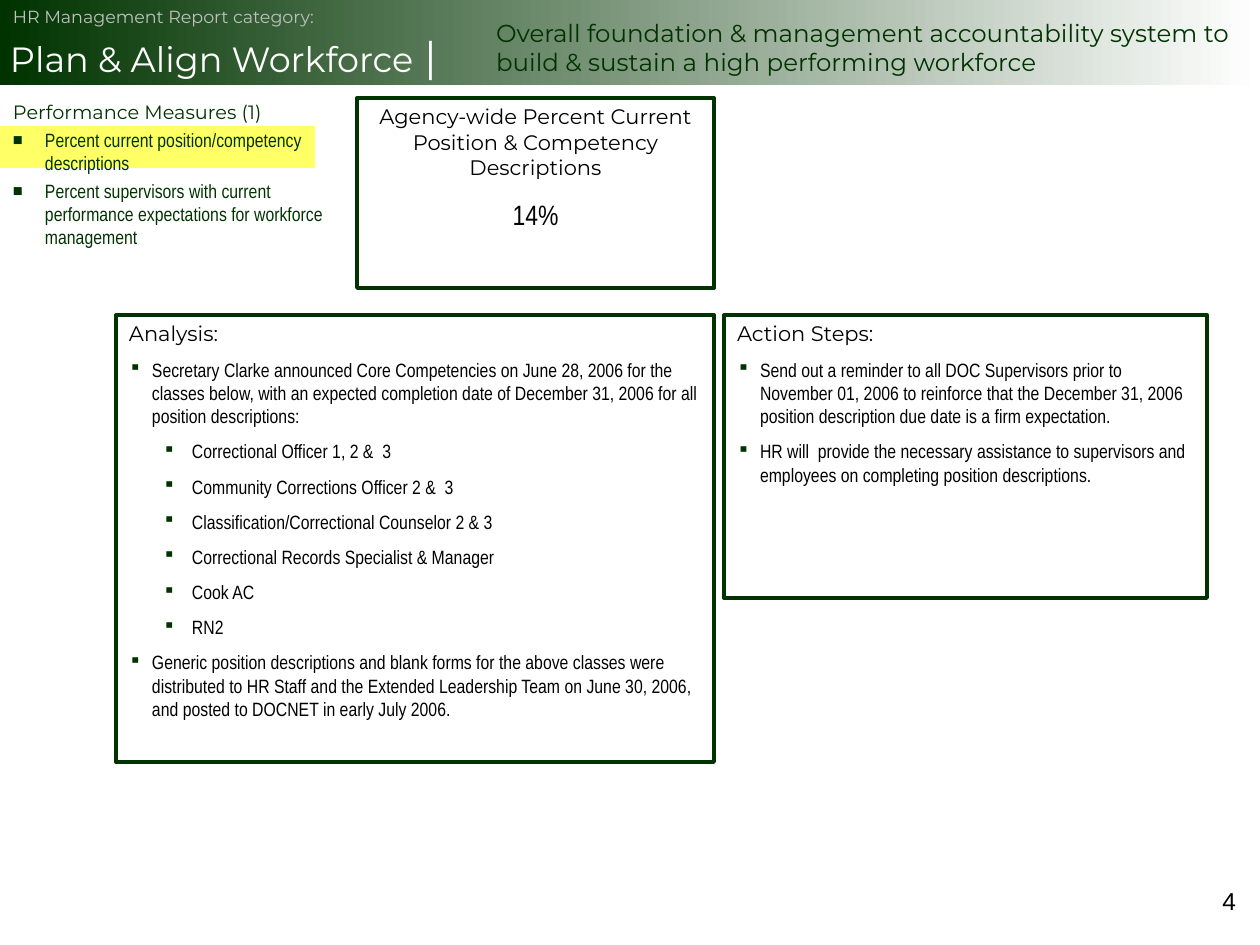
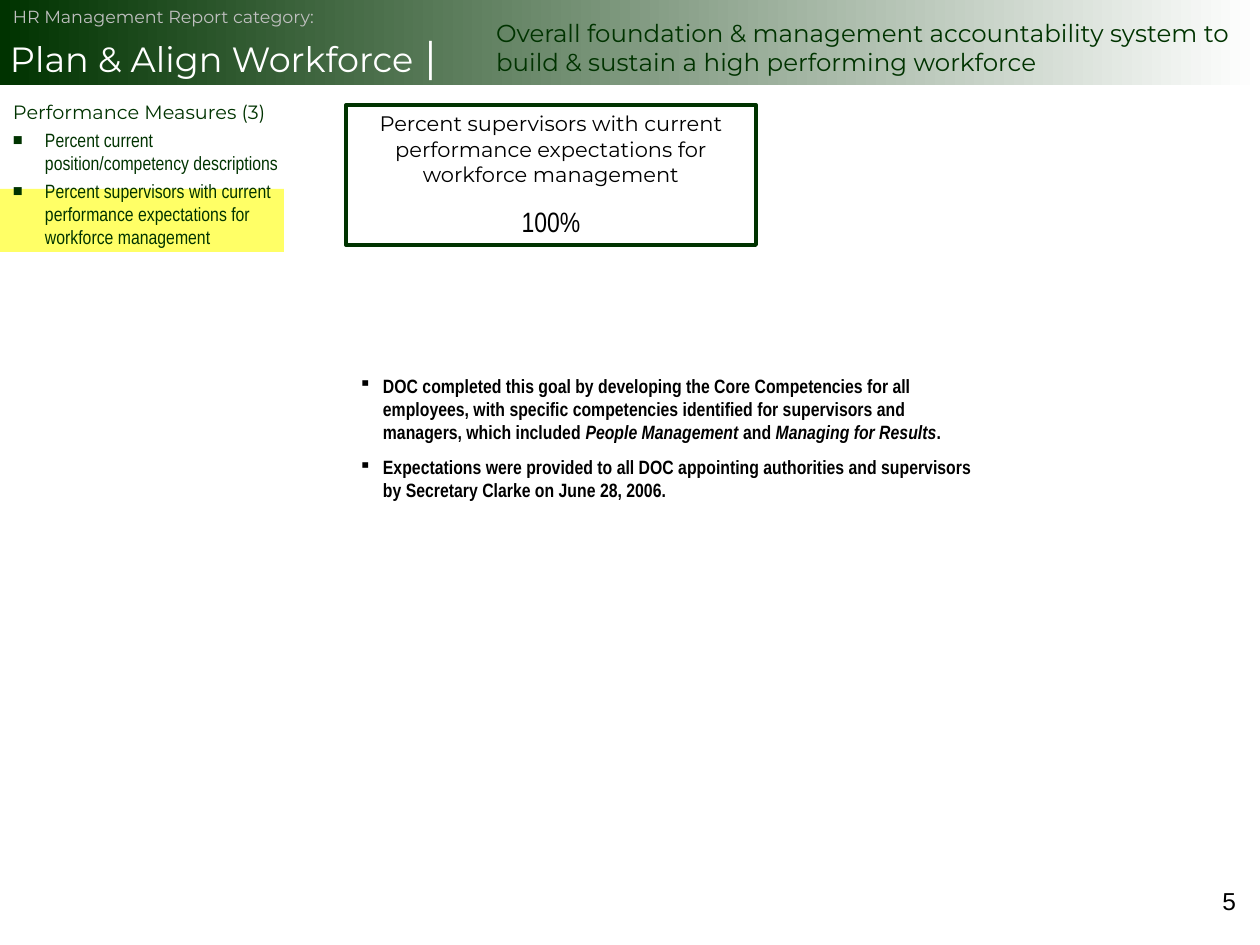
"""Build two workforce planning report slides."""
import lxml.etree
import pptx
import pptx.dml.color
import pptx.enum.shapes
import pptx.enum.text
import pptx.oxml.ns
import pptx.util

EMU_PER_PX = 914400 / 126
GREEN, YELLOW, BLACK, WHITE, SILVER = "003300", "FFFF66", "000000", "FFFFFF", "C0C0C0"
ALIGN = pptx.enum.text.PP_ALIGN
ANCHOR = pptx.enum.text.MSO_ANCHOR
HEADING, BODY = "Montserrat", "Arial Narrow"


def px(length):
    return pptx.util.Emu(round(length * EMU_PER_PX))


def rgb(color):
    return pptx.dml.color.RGBColor.from_string(color)


def assign(target, values):
    for name, value in values.items():
        setattr(target, name, value)


def text_style(font, size, color, before=0, align=ALIGN.LEFT, spacing=1.0,
               bold=False, hang=(0, 0), bullet=None):
    return {
        "font": {"name": font, "size": pptx.util.Pt(size), "bold": bold},
        "color": color,
        "paragraph": {"alignment": align, "line_spacing": spacing,
                      "space_before": pptx.util.Pt(before)},
        "hang": hang,
        "bullet": bullet,
    }


STYLES = {
    "category": text_style(HEADING, 20, WHITE, spacing=1.5),
    "kicker": text_style(HEADING, 10, SILVER),
    "title": text_style(HEADING, 14, GREEN),
    "measure heading": text_style(HEADING, 11, GREEN, hang=(32, -32)),
    "measure": text_style(BODY, 11, GREEN, 2.8, hang=(32, -32), bullet=("■", GREEN, 85)),
    "result heading": text_style(HEADING, 12, BLACK, align=ALIGN.CENTER),
    "result": text_style(BODY, 16, BLACK, 10, ALIGN.CENTER),
    "panel heading": text_style(HEADING, 12, BLACK, hang=(23, -23)),
    "point": text_style(BODY, 11, BLACK, 6.9, hang=(23, -23), bullet=("▪", GREEN, 90)),
    "subpoint": text_style(BODY, 11, BLACK, 6.9, hang=(63, -29), bullet=("▪", GREEN, 90)),
    "note": text_style(BODY, 11, BLACK, 6.9, bold=True, hang=(24, -24),
                       bullet=("▪", BLACK, 90)),
    "page": text_style("Arial", 14, BLACK, align=ALIGN.RIGHT),
}


class ReportDeck:
    """Hold the report style and the slide being built."""

    def __init__(self):
        self.presentation = pptx.Presentation()
        assign(self.presentation, {"slide_width": px(1260), "slide_height": px(945)})
        self.slide = None

    def bullet(self, properties, bullet):
        def add(parent, tag, **attributes):
            return lxml.etree.SubElement(parent, pptx.oxml.ns.qn(tag), attributes)

        if bullet is None:
            add(properties, "a:buNone")
            return
        character, color, percent = bullet
        add(add(properties, "a:buClr"), "a:srgbClr", val=color)
        add(properties, "a:buSzPct", val=str(percent * 1000))
        add(properties, "a:buChar", char=character)

    def fill_text(self, shape, paragraphs, anchor=ANCHOR.TOP, inset=(13, 6)):
        frame = shape.text_frame
        side, edge = map(px, inset)
        assign(frame, {
            "word_wrap": True, "auto_size": pptx.enum.text.MSO_AUTO_SIZE.NONE,
            "vertical_anchor": anchor, "margin_left": side, "margin_right": side,
            "margin_top": edge, "margin_bottom": edge})
        for index, (style_name, content) in enumerate(paragraphs):
            style = STYLES[style_name]
            paragraph = frame.add_paragraph() if index else frame.paragraphs[0]
            assign(paragraph, style["paragraph"])
            if index == 0:
                paragraph.space_before = pptx.util.Pt(0)
            properties = paragraph._p.get_or_add_pPr()
            for name, length in zip(("marL", "indent"), style["hang"]):
                properties.set(name, str(px(length)))
            self.bullet(properties, style["bullet"])
            runs = [(content, {})] if isinstance(content, str) else content
            for text, changes in runs:
                run = paragraph.add_run()
                run.text = text
                assign(run.font, {**style["font"], **changes})
                run.font.color.rgb = rgb(style["color"])

    def rectangle(self, box, fill=None, line=None):
        shape = self.slide.shapes.add_shape(
            pptx.enum.shapes.MSO_SHAPE.RECTANGLE, *map(px, box))
        shape.shadow.inherit = False
        if fill:
            shape.fill.solid()
            shape.fill.fore_color.rgb = rgb(fill)
        else:
            shape.fill.background()
        if line:
            shape.line.color.rgb = rgb(line)
            shape.line.width = pptx.util.Pt(2.25)
        else:
            shape.line.fill.background()
        return shape

    def panel(self, box, paragraphs):
        self.fill_text(self.rectangle(box, line=GREEN), paragraphs)

    def text(self, box, paragraphs):
        self.fill_text(self.slide.shapes.add_textbox(*map(px, box)), paragraphs)

    def placeholder(self, shape, box, paragraphs, anchor=ANCHOR.TOP):
        assign(shape, dict(zip(("left", "top", "width", "height"), map(px, box))))
        shape.element.getparent().append(shape.element)
        self.fill_text(shape, paragraphs, anchor)

    def band(self):
        band = self.rectangle((0, 0, 1260, 85))
        band.fill.gradient()
        band.fill.gradient_angle = 180
        for stop, color in zip(band.fill.gradient_stops, (WHITE, GREEN)):
            stop.color.rgb = rgb(color)
        category = [("Plan & Align Workforce", {}), (" |", {"size": pptx.util.Pt(24)})]
        self.fill_text(band, [("category", category)], inset=(10, 5))

    def report_slide(self, page, measure_number, highlight, measures_box):
        self.slide = self.presentation.slides.add_slide(self.presentation.slide_layouts[1])
        title, body = self.slide.placeholders
        self.rectangle(highlight, fill=YELLOW)
        self.placeholder(body, measures_box, [
            ("measure heading", f"Performance Measures ({measure_number})"),
            ("measure", "Percent current position/competency descriptions"),
            ("measure", "Percent supervisors with current performance expectations "
                        "for workforce management")])
        self.band()
        self.text((0, 0, 378, 34), [("kicker", "HR Management Report category:")])
        self.placeholder(title, (483, 0, 777, 94), [
            ("title", "Overall foundation & management accountability system to "
                      "build & sustain a high performing workforce")], ANCHOR.MIDDLE)
        self.text((955, 880, 294, 65), [("page", str(page))])

    def result(self, box, heading, value):
        self.panel(box, [("result heading", heading), ("result", value)])


def position_descriptions(deck):
    deck.report_slide(4, 1, (0, 126, 315, 42), (0, 94, 346, 262))
    deck.result((357, 98, 357, 190),
                "Agency-wide Percent Current Position & Competency Descriptions", "14%")
    job_classes = [
        "Correctional Officer 1, 2 &  3",
        "Community Corrections Officer 2 &  3",
        "Classification/Correctional Counselor 2 & 3",
        "Correctional Records Specialist & Manager",
        "Cook AC",
        "RN2",
    ]
    deck.panel((116, 315, 598, 447), [
        ("panel heading", "Analysis:"),
        ("point", "Secretary Clarke announced Core Competencies on June 28, 2006 for the "
                  "classes below, with an expected completion date of December 31, 2006 "
                  "for all position descriptions:"),
        *(("subpoint", job_class) for job_class in job_classes),
        ("point", "Generic position descriptions and blank forms for the above classes "
                  "were distributed to HR Staff and the Extended Leadership Team on "
                  "June 30, 2006, and posted to DOCNET in early July 2006.")])
    deck.panel((724, 315, 483, 283), [
        ("panel heading", "Action Steps:"),
        ("point", "Send out a reminder to all DOC Supervisors prior to November 01, 2006 "
                  "to reinforce that the December 31, 2006 position description due date "
                  "is a firm expectation."),
        ("point", "HR will  provide the necessary assistance to supervisors and employees "
                  "on completing position descriptions.")])


def supervisor_expectations(deck):
    deck.report_slide(5, 3, (0, 189, 284, 63), (0, 94, 315, 220))
    deck.result((346, 105, 410, 140),
                "Percent supervisors with current performance expectations for "
                "workforce management", "100%")
    italic = {"italic": True}
    deck.text((346, 368, 640, 141), [
        ("note", [
            ("DOC completed this goal by developing the Core Competencies for all "
             "employees, with specific competencies identified for supervisors and "
             "managers, which included ", {}),
            ("People Management", italic), (" and ", {}),
            ("Managing for Results", italic), (".", {})]),
        ("note", "Expectations were provided to all DOC appointing authorities and "
                 "supervisors by Secretary Clarke on June 28, 2006.")])


def main():
    deck = ReportDeck()
    position_descriptions(deck)
    supervisor_expectations(deck)
    deck.presentation.save("out.pptx")


if __name__ == "__main__":
    main()
